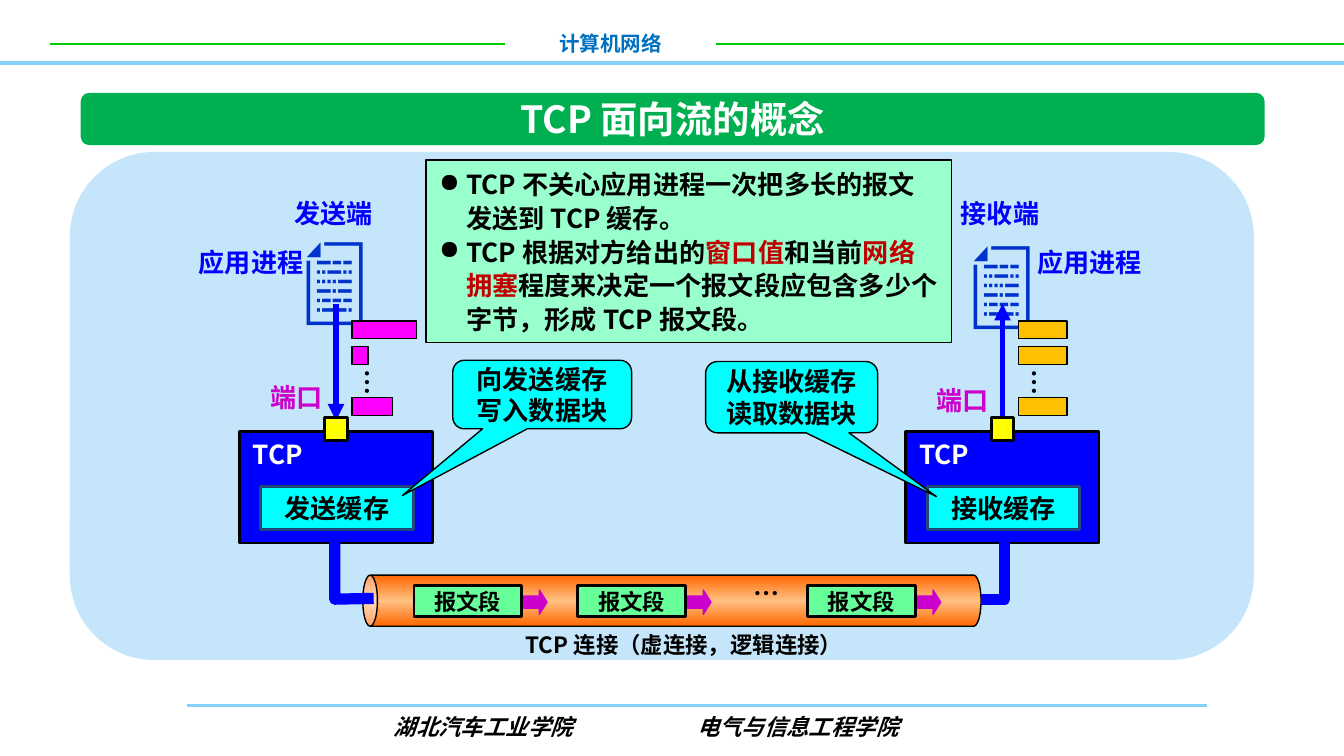
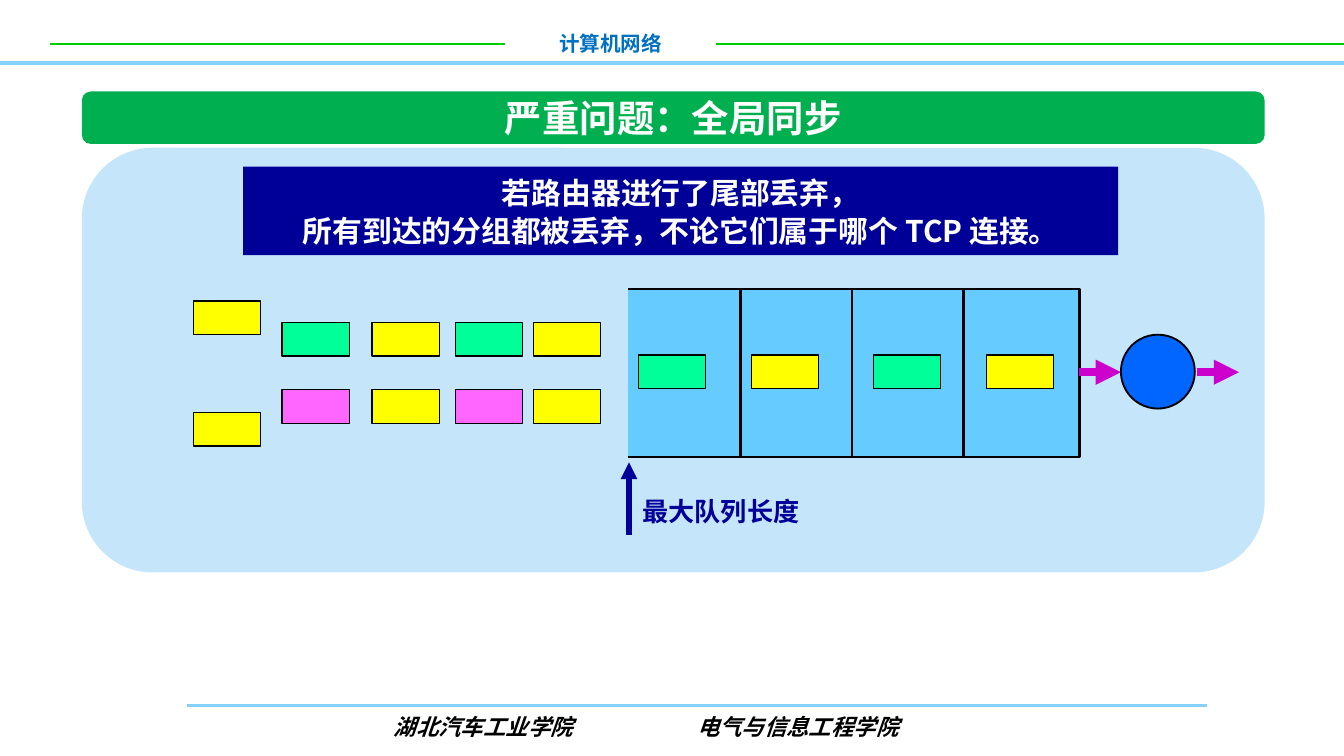
from copy import deepcopy

from lxml import etree
from pptx import Presentation
from pptx import util as u
from pptx.dml import color
from pptx.enum import shapes, text
from pptx.oxml import ns

SANS = "Noto Sans CJK SC"
BLACK, WHITE, BLUE, NAVY = "000000", "FFFFFF", "0000FF", "000099"
SKY, GREEN, PURPLE, YELLOW = "85D1F7", "00CC00", "CC00CC", "FFFF00"
CYAN, MINT, PINK, RED = "00FFFF", "00FF99", "FF66FF", "C00000"
SHAPE = shapes.MSO_SHAPE
LEFT, CENTER = text.PP_ALIGN.LEFT, text.PP_ALIGN.CENTER
TOP, MIDDLE = text.MSO_ANCHOR.TOP, text.MSO_ANCHOR.MIDDLE


def rgb(value):
    return color.RGBColor.from_string(value)


def points(*values):
    return [u.Pt(value) for value in values]


def style_span(span, size, ink, font=SANS, italic=False):
    span.font.size = u.Pt(size)
    span.font.bold = True
    span.font.italic = italic
    span.font.color.rgb = rgb(ink)
    span.font.name = font
    east_asian = etree.SubElement(span.font._element, ns.qn("a:ea"))
    east_asian.set("typeface", font)


def write(box, lines, size=14, ink=BLACK, align=CENTER, anchor=MIDDLE,
          wrap=False, inset=(7.2, 3.6), spacing=None, font=SANS, italic=False):
    frame = box.text_frame
    frame.word_wrap = wrap
    frame.vertical_anchor = anchor
    frame.margin_left, frame.margin_top = points(*inset)
    frame.margin_right, frame.margin_bottom = points(*inset)
    frame.text = lines
    for para in frame.paragraphs:
        para.alignment = align
        if spacing:
            para.line_spacing = u.Pt(spacing)
        for span in para.runs:
            style_span(span, size, ink, font, italic)


def add_label(slide, place, lines, size=14, ink=BLACK, align=LEFT, wrap=False,
              turn=0, **options):
    box = slide.shapes.add_textbox(*points(*place))
    write(box, lines, size, ink, align, TOP, wrap, **options)
    box.text_frame.auto_size = text.MSO_AUTO_SIZE.SHAPE_TO_FIT_TEXT
    box.rotation = turn
    return box


def paint(shape, fill=None, line=None, width=0.75):
    shape.shadow.inherit = False
    if fill:
        shape.fill.solid()
        shape.fill.fore_color.rgb = rgb(fill)
    else:
        shape.fill.background()
    if line:
        shape.line.color.rgb = rgb(line)
        shape.line.width = u.Pt(width)
    else:
        shape.line.fill.background()


def add_block(slide, kind, place, fill, line=BLACK, width=0.75, adjust=()):
    shape = slide.shapes.add_shape(kind, *points(*place))
    paint(shape, fill, line, width)
    for index, value in enumerate(adjust):
        shape.adjustments[index] = value
    return shape


def add_line(slide, ends, ink, width, arrow=False):
    line = slide.shapes.add_connector(
        shapes.MSO_CONNECTOR.STRAIGHT, *points(*ends))
    line.line.color.rgb = rgb(ink)
    line.line.width = u.Pt(width)
    if arrow:
        head = etree.SubElement(line.line._get_or_add_ln(), ns.qn("a:tailEnd"))
        head.set("type", "triangle")
    etree.SubElement(line._element.spPr, ns.qn("a:effectLst"))


def add_outline(slide, corners, line, width, fill=None):
    start, *others = [points(*corner) for corner in corners]
    builder = slide.shapes.build_freeform(*start, scale=1.0)
    builder.add_line_segments(others, close=False)
    paint(builder.convert_to_shape(), fill, line, width)


def add_page(deck, title, bar, panel):
    slide = deck.slides.add_slide(deck.slide_layouts[6])
    add_line(slide, (100, 378, 646.5, 378), SKY, 1.5)
    add_line(slide, (383.8, 23.8, 720, 23.8), GREEN, 1)
    add_line(slide, (26.6, 23.8, 270.7, 23.8), GREEN, 1)
    add_line(slide, (0, 33.8, 720, 33.8), SKY, 2)
    footer = add_label(slide, (73.4, 378.7, 544.3, 21.6),
                       "湖北汽车工业学院\t电气与信息工程学院", 12, wrap=True,
                       font="Arial", italic=True)
    footer.text_frame.margin_left = u.Pt(137.6)
    properties = footer.text_frame.paragraphs[0]._p.get_or_add_pPr()
    stops = etree.SubElement(properties, ns.qn("a:tabLst"))
    stop = etree.SubElement(stops, ns.qn("a:tab"))
    stop.set("pos", str(u.Pt(162.5)))
    stop.set("algn", "l")
    add_label(slide, (270.7, 13, 113, 20.9), "计算机网络", 11, "0070C0",
              CENTER, wrap=True)
    heading = add_block(slide, SHAPE.ROUNDED_RECTANGLE, bar, "00B050", None)
    write(heading, title, 20, WHITE, inset=(0, 0))
    add_block(slide, SHAPE.ROUNDED_RECTANGLE, panel, "C5E5FB", None)
    return slide


def add_host(slide, left, role, buffer, process_left, icon_top, port_top,
             chip_fill, chip_widths, flow):
    add_label(slide, (left + 27.3, icon_top, 48.2, 65.5), "📄", 48, "0033CC")
    add_label(slide, (left + 9.4, port_top, 42.5, 24.5), "端口", ink=PURPLE)
    add_label(slide, (left + 22.3, 102.2, 56.9, 24.5), role, ink=BLUE)
    add_label(slide, (process_left, 128.2, 71.3, 24.5), "应用进程", ink=BLUE)
    axis = left + 51.8
    add_line(slide, (axis, flow[0], axis, flow[1]), BLUE, 3, arrow=True)
    add_label(slide, (left + 55.4, 192.5, 27.4, 23.8), "…", turn=90)
    for top, width in zip((172.1, 185.8, 213.1), chip_widths):
        add_block(slide, SHAPE.RECTANGLE, (left + 60.4, top, width, 9.4),
                  chip_fill)
    stack = add_block(slide, SHAPE.RECTANGLE, (left, 231.1, 103.5, 59.8),
                      BLUE, width=1.5)
    write(stack, "TCP", ink=WHITE, align=LEFT, anchor=TOP)
    store = add_block(slide, SHAPE.RECTANGLE, (left + 11.5, 260.6, 81.7, 23),
                      CYAN, "1F497D", 1.5)
    write(store, buffer)
    add_block(slide, SHAPE.RECTANGLE, (left + 45.7, 223.9, 12.2, 12.2),
              YELLOW, width=1.5)


def add_callout(slide, place, lines, tip):
    callout = add_block(slide, SHAPE.ROUNDED_RECTANGULAR_CALLOUT, place, CYAN,
                        adjust=(*tip, 0.167))
    write(callout, lines, inset=(0, 0))


def add_notes_box(slide, items):
    box = add_block(slide, SHAPE.RECTANGLE, (228.2, 85.7, 281.5, 97.9),
                    "99FFCC")
    write(box, "\n".join("" for _ in items), align=LEFT, anchor=TOP, wrap=True)
    for para, spans in zip(box.text_frame.paragraphs, items):
        properties = para._p.get_or_add_pPr()
        properties.set("marL", str(u.Pt(14.4)))
        properties.set("indent", str(u.Pt(-14.4)))
        bullet = etree.SubElement(properties, ns.qn("a:buChar"))
        bullet.set("char", "●")
        para.alignment = LEFT
        para.line_spacing = u.Pt(18)
        for words, ink in spans:
            span = para.add_run()
            span.text = words
            style_span(span, 14, ink)


def add_pipe(slide):
    pipe = add_block(slide, SHAPE.CAN, (346.3, 156.2, 27.4, 331.2), "FF6600",
                     adjust=(0.286,))
    pipe.rotation = 270
    pipe.fill.gradient()
    pipe.fill.gradient_angle = 0
    for stop, ink in zip(pipe.fill.gradient_stops, ("FF6600", "FFC183")):
        stop.color.rgb = rgb(ink)
    stops = pipe._element.spPr.find(".//" + ns.qn("a:gsLst"))
    last = deepcopy(stops[0])
    last.set("pos", "100000")
    stops[1].set("pos", "50000")
    stops.append(last)
    for left in (221.8, 309.6, 432.7):
        add_block(slide, SHAPE.RIGHT_ARROW, (left + 54.7, 316.1, 16.6, 13),
                  PURPLE, PURPLE, adjust=(0.5, 0.316))
        segment = add_block(slide, SHAPE.RECTANGLE, (left, 313.9, 57.6, 16.6),
                            "66FF99", width=1.5)
        write(segment, "报文段", 12)
    add_label(slide, (396.7, 306, 27.4, 23.8), "…")
    add_label(slide, (272.9, 334.8, 187.2, 21.6),
              "TCP 连接（虚连接，逻辑连接）", 12, align=CENTER)


def build_stream_slide(deck):
    slide = add_page(deck, "TCP 面向流的概念", (43.2, 49.7, 634.3, 28.1),
                     (37.4, 81.4, 634.3, 272.2))
    add_host(slide, 128.2, "发送端", "发送缓存", 99.4, 114.5, 200.9,
             "FF00FF", (34.6, 8.6, 21.6), (162.7, 225.4))
    add_host(slide, 485.3, "接收端", "接收缓存", 548.6, 116.6, 202.3,
             "FFC000", (25.9, 25.9, 25.9), (231.1, 162.7))
    add_callout(slide, (242.6, 193, 95.8, 36.7), "向发送缓存\n写入数据块",
                (-0.781, 1.472))
    add_callout(slide, (378, 193.7, 92.2, 38.2), "从接收缓存\n读取数据块",
                (0.841, 1.394))
    add_notes_box(slide, [
        [("TCP 不关心应用进程一次把多长的报文发送到 TCP 缓存。", BLACK)],
        [("TCP 根据对方给出的", BLACK), ("窗口值", RED), ("和当前", BLACK),
         ("网络拥塞", RED),
         ("程度来决定一个报文段应包含多少个字节，形成 TCP 报文段。", BLACK)],
    ])
    add_pipe(slide)
    add_outline(slide, [(525.6, 321), (538.2, 321), (538.2, 289)], BLUE, 6)
    add_outline(slide, [(179.3, 289), (179.3, 321), (200.2, 320.6)], BLUE, 6)


def build_queue_slide(deck):
    slide = add_page(deck, "严重问题：全局同步", (43.9, 49, 633.6, 28.1),
                     (43.9, 79.2, 633.6, 227.5))
    banner = add_block(slide, SHAPE.RECTANGLE, (130.3, 89.3, 468.7, 47.5),
                       NAVY, None)
    write(banner, "若路由器进行了尾部丢弃，\n"
          "所有到达的分组都被丢弃，不论它们属于哪个 TCP 连接。",
          16, WHITE, wrap=True, spacing=20)

    left, right, top, bottom = 336.2, 578.2, 154.8, 244.8
    add_outline(slide, [(left, bottom), (right, bottom), (right, top),
                        (left, top)], BLACK, 1.5, "66CCFF")
    for index in range(3):
        divider = 396.6 + 59.8 * index
        add_line(slide, (divider, top, divider, bottom), BLACK, 1.5)

    columns = (151.2, 199.4, 244.1, 285.8)
    packets = [(103.7, 161.3, YELLOW), (103.7, 221, YELLOW)]
    for row, tint in ((172.8, MINT), (208.8, PINK)):
        packets += [(column, row, ink) for column, ink
                    in zip(columns, (tint, YELLOW) * 2)]
    packets += [(column, 190.1, ink) for column, ink
                in zip((342, 402.5, 468, 528.5), (MINT, YELLOW) * 2)]
    for column, row, ink in packets:
        add_block(slide, SHAPE.RECTANGLE, (column, row, 36, 18), ink)

    for start in (right, 641.5):
        add_line(slide, (start, 199.4, start + 22.3, 199.4), PURPLE, 4.5,
                 arrow=True)
    add_block(slide, SHAPE.OVAL, (600.5, 179.3, 39.6, 39.6), "0066FF", width=1)
    add_line(slide, (337, 286.6, 337, 247.7), NAVY, 3, arrow=True)
    add_label(slide, (337, 262.1, 99.4, 24.5), "最大队列长度", ink=NAVY)


def main():
    deck = Presentation()
    deck.slide_width, deck.slide_height = points(720, 405)
    build_stream_slide(deck)
    build_queue_slide(deck)
    deck.save("out.pptx")


if __name__ == "__main__":
    main()
